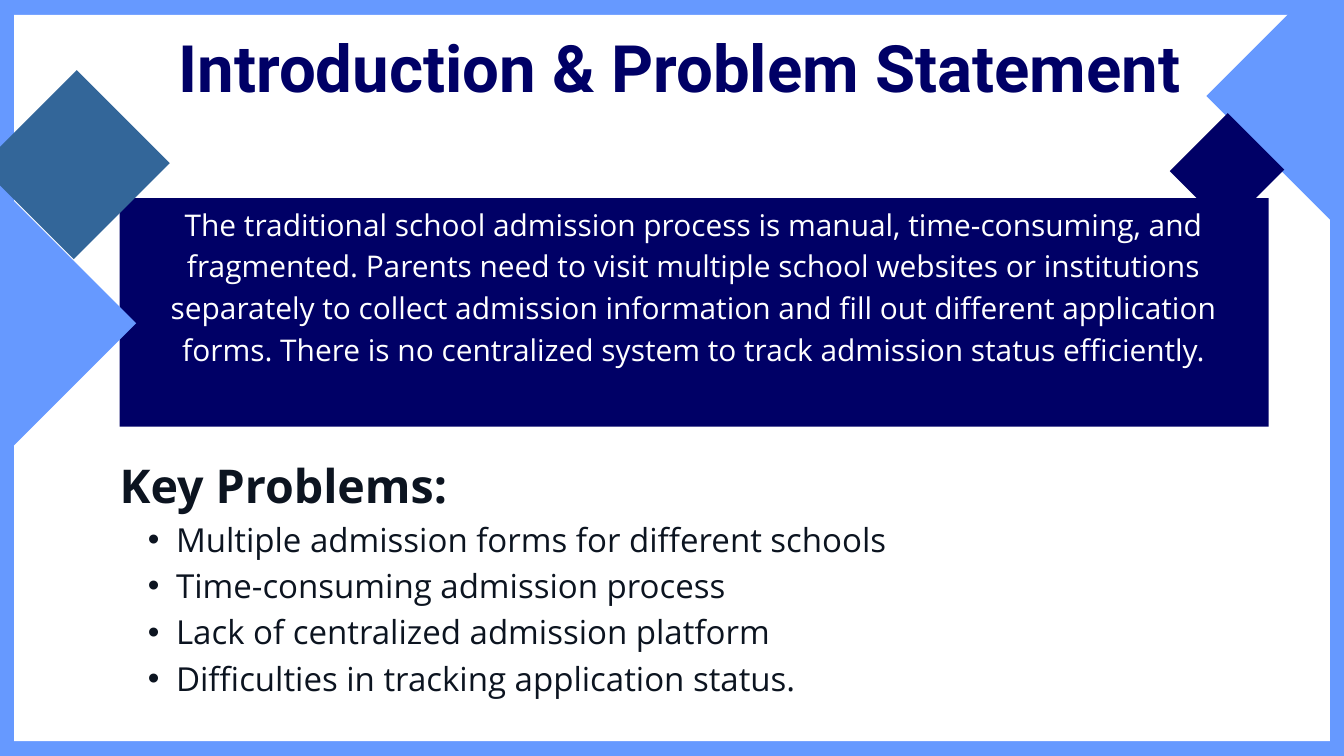
from dataclasses import dataclass

from lxml.etree import SubElement
from pptx import Presentation
from pptx.dml.color import RGBColor
from pptx.enum.shapes import MSO_SHAPE
from pptx.enum.text import MSO_ANCHOR, MSO_AUTO_SIZE, PP_ALIGN
from pptx.oxml.ns import qn
from pptx.shapes.autoshape import Shape
from pptx.slide import Slide
from pptx.text.text import TextFrame, _Paragraph
from pptx.util import Inches, Pt


@dataclass(frozen=True)
class TextStyle:
    font: str
    size: float
    line: float
    color: str
    bold: bool = False
    align: PP_ALIGN = PP_ALIGN.LEFT


@dataclass(frozen=True)
class Theme:
    sky: str = "6699FF"
    white: str = "FFFFFF"
    navy: str = "000066"
    steel: str = "336699"
    title: TextStyle = TextStyle("Roboto", 70, 65.8, "000066", True, PP_ALIGN.CENTER)
    statement: TextStyle = TextStyle("Open Sans", 32, 44.8, "FFFFFF", False, PP_ALIGN.CENTER)
    heading: TextStyle = TextStyle("Open Sans", 49.9, 69.8, "0C1420", True)
    problem: TextStyle = TextStyle("Open Sans", 35.4, 49.6, "0C1420")


@dataclass(frozen=True)
class Block:
    left: float
    top: float
    width: float
    height: float
    color: str
    rotation: float = 0


THEME = Theme()
PAPER = Block(0.21, 0.22, 19.58, 10.81, THEME.white)
STATEMENT_PANEL = Block(1.78, 2.95, 17.1, 3.4, THEME.navy)
DIAMONDS = [
    Block(-4.3, 2.5, 5.37, 4.93, THEME.sky, 315),
    Block(18.62, -0.4, 3.75, 3.44, THEME.sky, 315),
    Block(0.11, 1.47, 2.02, 1.96, THEME.steel, 315),
    Block(17.65, 1.94, 1.22, 1.19, THEME.navy, 315),
]
STATEMENT = (
    "The traditional school admission process is manual, time-consuming, and "
    "fragmented. Parents need to visit multiple school websites or institutions "
    "separately to collect admission information and fill out different application "
    "forms. There is no centralized system to track admission status efficiently."
)
PROBLEMS = [
    "Multiple admission forms for different schools",
    "Time-consuming admission process",
    "Lack of centralized admission platform",
    "Difficulties in tracking application status.",
]


def draw_block(slide: Slide, block: Block) -> Shape:
    shape = slide.shapes.add_shape(
        MSO_SHAPE.RECTANGLE,
        Inches(block.left), Inches(block.top), Inches(block.width), Inches(block.height),
    )
    shape.rotation = block.rotation
    shape.fill.solid()
    shape.fill.fore_color.rgb = RGBColor.from_string(block.color)
    shape.line.fill.background()
    shape.shadow.inherit = False
    return shape


def prepare_frame(frame: TextFrame, side: float = 0, top: float = 0) -> None:
    frame.word_wrap = True
    frame.auto_size = MSO_AUTO_SIZE.NONE
    frame.vertical_anchor = MSO_ANCHOR.TOP
    frame.margin_left = frame.margin_right = Inches(side)
    frame.margin_top = Inches(top)
    frame.margin_bottom = 0


def write(paragraph: _Paragraph, text: str, style: TextStyle) -> None:
    paragraph.text = text
    paragraph.alignment = style.align
    paragraph.line_spacing = Pt(style.line)
    font = paragraph.runs[0].font
    font.name = style.font
    font.size = Pt(style.size)
    font.bold = style.bold
    font.color.rgb = RGBColor.from_string(style.color)


def add_bullet(paragraph: _Paragraph) -> None:
    properties = paragraph._p.get_or_add_pPr()
    properties.set("marL", str(Inches(0.84)))
    properties.set("indent", str(Inches(-0.42)))
    SubElement(properties, qn("a:buFont"), typeface="Arial")
    SubElement(properties, qn("a:buChar"), char="•")


def place_title(slide: Slide, text: str) -> None:
    title = slide.shapes.title
    title.left, title.top = Inches(1.24), Inches(0.66)
    title.width, title.height = Inches(17.75), Inches(1.88)
    prepare_frame(title.text_frame)
    write(title.text_frame.paragraphs[0], text, THEME.title)
    slide.shapes._spTree.append(title._element)


def draw_problems(slide: Slide) -> None:
    problems = slide.shapes.add_textbox(Inches(1.78), Inches(6.66), Inches(13.14), Inches(4.33))
    frame = problems.text_frame
    prepare_frame(frame)
    write(frame.paragraphs[0], "Key Problems:", THEME.heading)
    for problem in PROBLEMS:
        paragraph = frame.add_paragraph()
        paragraph.level = 1
        add_bullet(paragraph)
        write(paragraph, problem, THEME.problem)


def main() -> None:
    presentation = Presentation()
    presentation.slide_width = Inches(20)
    presentation.slide_height = Inches(11.25)
    slide = presentation.slides.add_slide(presentation.slide_layouts[5])
    slide.background.fill.solid()
    slide.background.fill.fore_color.rgb = RGBColor.from_string(THEME.sky)

    draw_block(slide, PAPER)
    statement_panel = draw_block(slide, STATEMENT_PANEL)
    prepare_frame(statement_panel.text_frame, side=0.06, top=0.03)
    write(statement_panel.text_frame.paragraphs[0], STATEMENT, THEME.statement)
    place_title(slide, "Introduction & Problem Statement")
    for diamond in DIAMONDS:
        draw_block(slide, diamond)
    draw_problems(slide)

    presentation.save("out.pptx")


if __name__ == "__main__":
    main()
